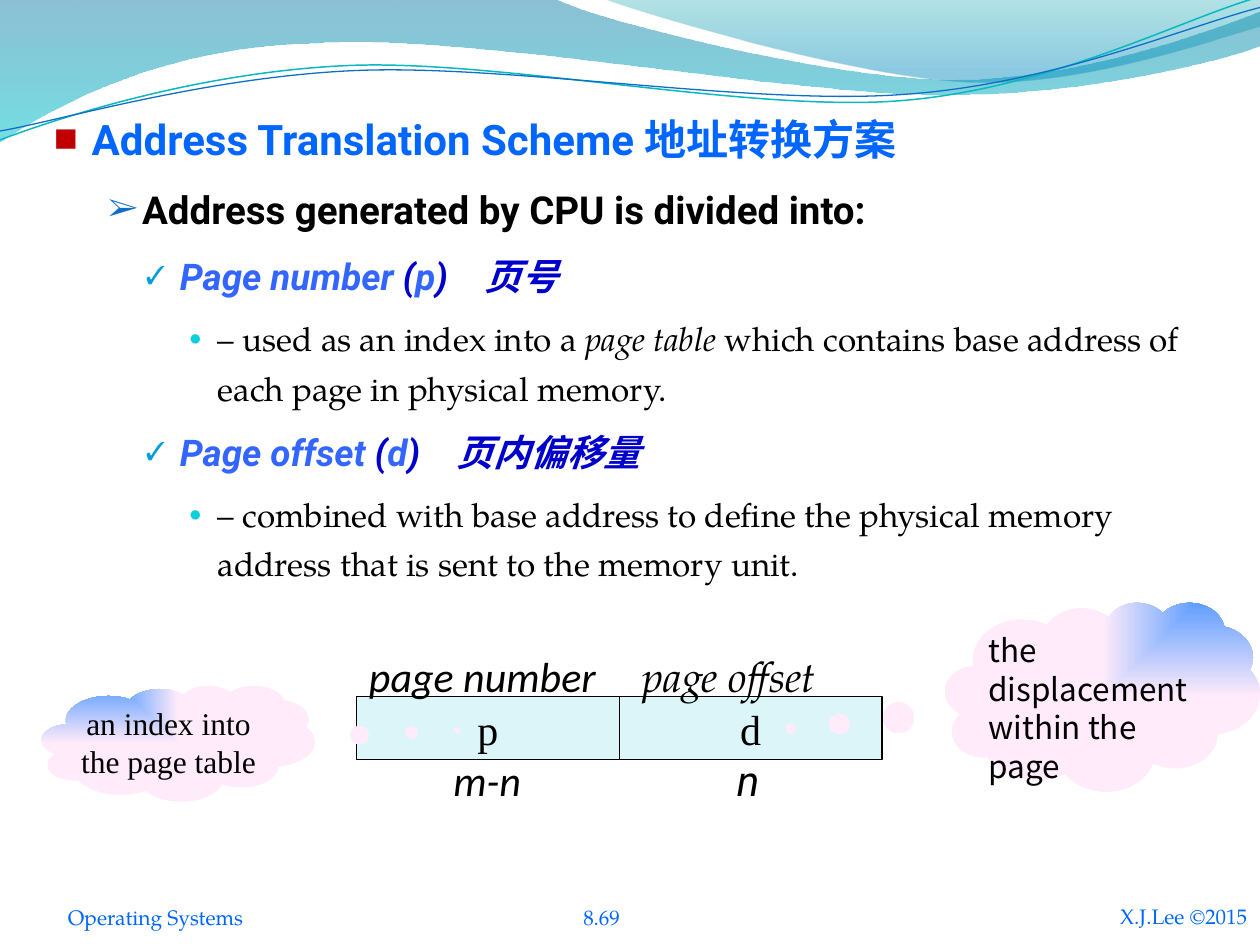
"""Build the address translation scheme slide."""
from itertools import cycle
from lxml.etree import SubElement, fromstring
from pptx import Presentation
from pptx.dml.color import RGBColor
from pptx.enum.shapes import MSO_SHAPE
from pptx.enum.text import MSO_ANCHOR, PP_ALIGN
from pptx.oxml.ns import qn
from pptx.util import Inches, Pt

SANS, SERIF, ROMAN, PLAIN, HAN = (
    "Roboto", "TeX Gyre Pagella", "Times New Roman", "Calibri", "Noto Sans CJK SC")
NS = "http://schemas.openxmlformats.org/drawingml/2006/main"
THEME = {
    "head": (24, SANS, "0066FF", True, False),
    "sub": (22, SANS, "000000", True, False),
    "term": (21, SANS, "3366FF", True, True),
    "mark": (21, SANS, "0000CC", True, True),
    "note": (19, SERIF, "000000", False, False),
    "slant": (19, SERIF, "000000", False, True),
    "cell": (24, ROMAN, "000000", False, False),
    "tag": (24, PLAIN, "000000", False, True),
    "offset": (24, SERIF, "000000", False, True),
    "size": (24, SANS, "000000", False, True),
    "index": (18, ROMAN, "000000", False, False),
    "shift": (18, HAN, "000000", False, False),
    "foot": (12, SERIF, "0066FF", False, False),
    "fill": "DBF5F9",
    "edge": "000000",
    "cloud": ((0, "5E9EFF", 100), (100, "FFEBFA", 100)),
    "deep": ((0, "0074A1", 45), (100, "00C6CF", 55)),
    "pale": ((0, "00A1A9", 30), (80, "008BBF", 45)),
}

deck = Presentation()
deck.slide_width, deck.slide_height = Inches(10), Inches(7.5)
COL, ROW = deck.slide_width / 100, deck.slide_height / 100
slide = deck.slides.add_slide(deck.slide_layouts[6])
shapes = slide.shapes


def grid(*spots):
    return [round(s * unit) for s, unit in zip(spots, cycle((COL, ROW)))]


def say(para, text, style):
    run = para.add_run()
    run.text = text
    font = run.font
    size, font.name, hue, font.bold, font.italic = THEME[style]
    font.size = Pt(size)
    font.color.rgb = RGBColor.from_string(hue)
    SubElement(run._r.get_or_add_rPr(), qn("a:ea"), typeface=HAN)


paints = []
waves = [
    ("deep", None, 0, [
        (0, 0), (44, -0.13), (47.6, 2.27, 66.4, 8.4, 75.8, 8.4),
        (85.3, 8.4, 95.8, 3.47, 100, 1.2), (100.1, 4.8),
        (98.3, 5.87, 87, 10.13, 74.6, 10), (62.2, 10, 38.2, 3.73, 25.7, 4.53),
        (12.9, 4.8, 4.6, 11.07, -0.1, 15.07), (0, 0)]),
    ("pale", None, 0, [
        (47.9, -0.13), (50.9, 1.47, 68.2, 8.27, 76.9, 8.67),
        (85.6, 9.2, 96.1, 4.27, 100, 2.8), (100, 0), (47.9, -0.13)]),
    (None, "0AB8BF", 0.85, [
        (0, 14.8), (4.8, 12.4, 15.8, 7.6, 27.7, 6.93),
        (39.5, 6.27, 59.3, 11.87, 71.3, 10.67), (83.3, 9.47, 93.8, 2, 99.8, -0.27)]),
    (None, "0F6FC6", 0.75, [
        (0, 13.87), (4.7, 12.8, 16.4, 8.13, 28.3, 7.47),
        (40.3, 6.8, 59.7, 11.2, 71.7, 10), (83.6, 8.93, 94.1, 2.8, 100, 0.8)]),
]
for tint, ink, width, steps in waves:
    dots = [grid(*step[at:at + 2]) for step in steps for at in range(0, len(step), 2)]
    pen = shapes.build_freeform(*dots[0], scale=1.0)
    pen.add_line_segments(dots[1:], close=bool(tint))
    wave = pen.convert_to_shape()
    lines = iter(list(wave._element.iter(qn("a:lnTo"))))
    for step in steps[1:]:
        first = next(lines)
        if len(step) == 6:
            first.tag = qn("a:cubicBezTo")
            for extra in (next(lines), next(lines)):
                first.append(extra[0])
                extra.getparent().remove(extra)
    wave.shadow.inherit = False
    wave.fill.background()
    if tint:
        wave.line.fill.background()
        paints.append((wave, tint, '<a:lin ang="5400000" scaled="0"/>'))
    else:
        wave.line.color.rgb = RGBColor.from_string(ink)
        wave.line.width = Pt(width)

LEVELS = [
    (0.3, 0.3, "■", "C00000", 95),
    (0.7, 0.27, "➢", "0F6FC6", 85),
    (1, 0.27, "✓", "009DD9", 70),
    (1.3, 0.23, "●", "0BD0D9", 65),
]
points = [
    (0, [("Address Translation Scheme 地址转换方案", "head")]),
    (1, [("Address generated by CPU is divided into:", "sub")]),
    (2, [("Page number ", "term"), ("(", "mark"), ("p", "term"), (")　页号", "mark")]),
    (3, [("– used as an index into a ", "note"), ("page table", "slant"),
         (" which contains base address of each page in physical memory.", "note")]),
    (2, [("Page offset", "term"), (" (", "mark"), ("d", "term"),
         (")　页内偏移量", "mark")]),
    (3, [("– combined with base address to define the physical memory "
          "address that is sent to the memory unit.", "note")]),
]
body = shapes.add_textbox(*grid(3.3, 10, 95.3, 53.73)).text_frame
body.word_wrap = True
for rank, (level, runs) in enumerate(points):
    para = body.add_paragraph() if rank else body.paragraphs[0]
    para.level = level
    para.line_spacing = 1.25
    para.space_before = Pt(6)
    left, hang, sign, hue, share = LEVELS[level]
    props = para._p.get_or_add_pPr()
    props.set("marL", str(Inches(left)))
    props.set("indent", str(-Inches(hang)))
    SubElement(SubElement(props, qn("a:buClr")), qn("a:srgbClr"), val=hue)
    SubElement(props, qn("a:buSzPct"), val=str(share * 1000))
    SubElement(props, qn("a:buFont"), typeface=ROMAN)
    SubElement(props, qn("a:buChar"), char=sign)
    for text, style in runs:
        say(para, text, style)

LEFT, MID, RIGHT = PP_ALIGN.LEFT, PP_ALIGN.CENTER, PP_ALIGN.RIGHT
EDGE, WIDE, TALL, TOP = 28.3, 20.85, 6.67, 73.73
items = [
    ("cell", (EDGE, TOP, WIDE, TALL), "p", "cell", MID),
    ("cell", (EDGE + WIDE, TOP, WIDE, TALL), "d", "cell", MID),
    ("label", (EDGE, 68.13, WIDE, TALL), "page number", "tag", LEFT),
    ("label", (50, 68.13, WIDE, TALL), "page offset", "offset", LEFT),
    ("label", (35, 79.2, 9.2, TALL), "m-n", "tag", LEFT),
    ("label", (57.5, 79.2, 4.2, TALL), "n", "size", LEFT),
    ("cloud", (3.3, 72.53, 21.7, 12.27), "an index into the page table", "index", MID),
    ("cloud", (75, 63.73, 25, 20), "the displacement within the page", "shift", LEFT),
    ("foot", (2.3, 93.2, 20.1, 5.2), "Operating Systems", "foot", MID),
    ("foot", (84.2, 94.67, 14.8, 3.6), "X.J.Lee ©2015", "foot", RIGHT),
    ("foot", (44.8, 94.13, 5.9, 4.27), "8.69", "foot", MID),
]
FORMS = {"cell": MSO_SHAPE.RECTANGLE, "cloud": MSO_SHAPE.CLOUD_CALLOUT}
ANCHORS = {"cell": MSO_ANCHOR.MIDDLE, "foot": MSO_ANCHOR.BOTTOM}
TAILS = {"index": (1.02, -0.11, 0, 100), "shift": (-0.99, 0.17, 100, 0)}
for kind, spot, text, style, align in items:
    if kind in FORMS:
        shape = shapes.add_shape(FORMS[kind], *grid(*spot))
        shape.shadow.inherit = False
    else:
        shape = shapes.add_textbox(*grid(*spot))
    frame = shape.text_frame
    frame.word_wrap = kind != "cell"
    frame.vertical_anchor = ANCHORS.get(kind, MSO_ANCHOR.TOP)
    para = frame.paragraphs[0]
    para.alignment = align
    if kind in ("cloud", "foot"):
        frame.margin_left = frame.margin_right = 0
        frame.margin_top = frame.margin_bottom = 0
    if kind == "cell":
        shape.fill.solid()
        shape.fill.fore_color.rgb = RGBColor.from_string(THEME["fill"])
        shape.line.color.rgb = RGBColor.from_string(THEME["edge"])
        shape.line.width = Pt(0.75)
    if kind == "cloud":
        para.line_spacing = Pt(22)
        shape.line.fill.background()
        shape.fill.background()
        shape.adjustments[0], shape.adjustments[1], west, east = TAILS[style]
        paints.append((shape, "cloud", '<a:path path="rect"><a:fillToRect '
                       f'l="{west}000" t="0" r="{east}000" b="100000"/></a:path>'))
    say(para, text, style)

for shape, tint, tail in paints:
    stops = "".join(
        f'<a:gs pos="{pos}000"><a:srgbClr val="{hue}"><a:alpha val="{alpha}000"/>'
        f'</a:srgbClr></a:gs>' for pos, hue, alpha in THEME[tint])
    blank = shape._element.spPr.find(qn("a:noFill"))
    blank.getparent().replace(blank, fromstring(
        f'<a:gradFill xmlns:a="{NS}" rotWithShape="1">'
        f'<a:gsLst>{stops}</a:gsLst>{tail}</a:gradFill>'))

deck.save("out.pptx")
